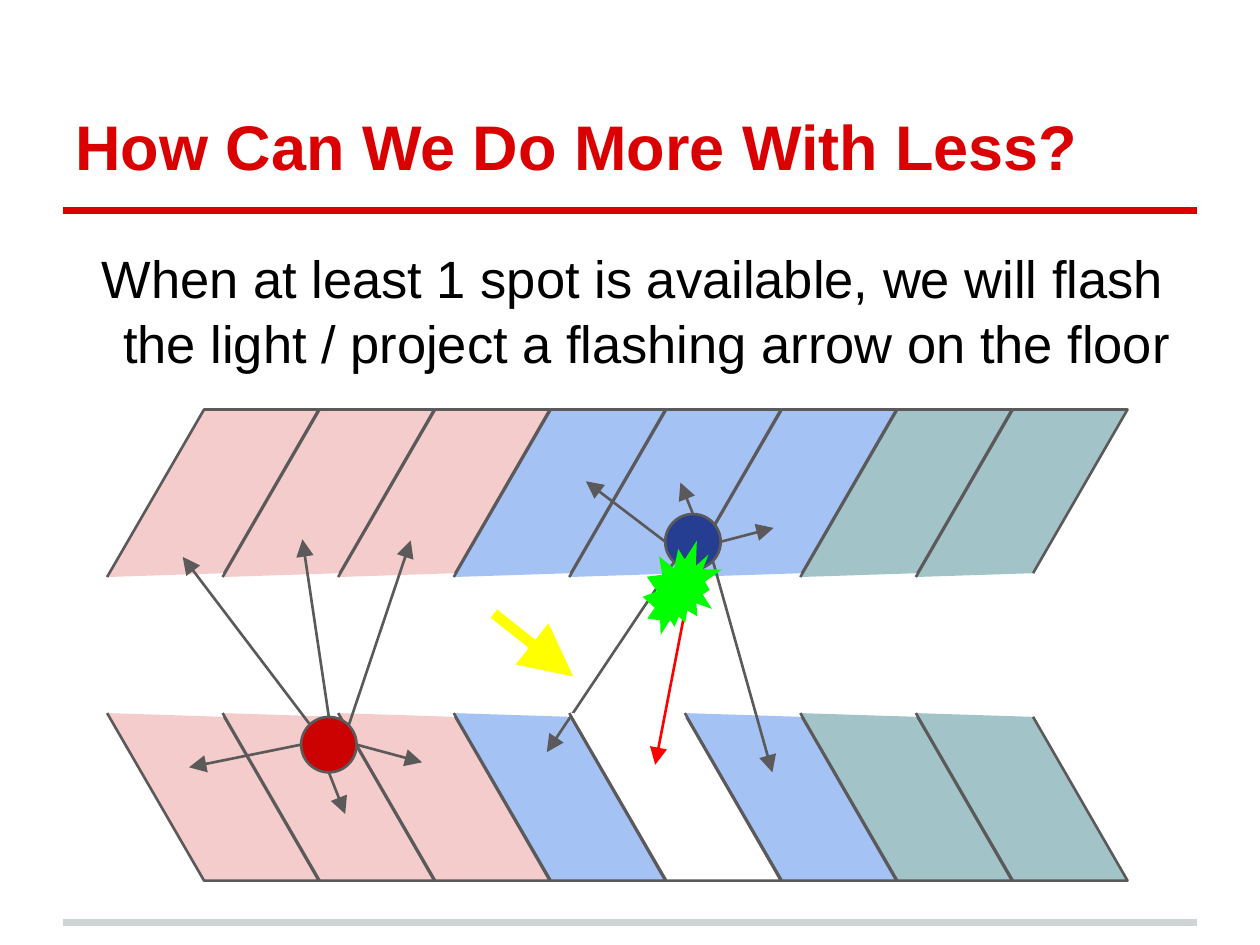
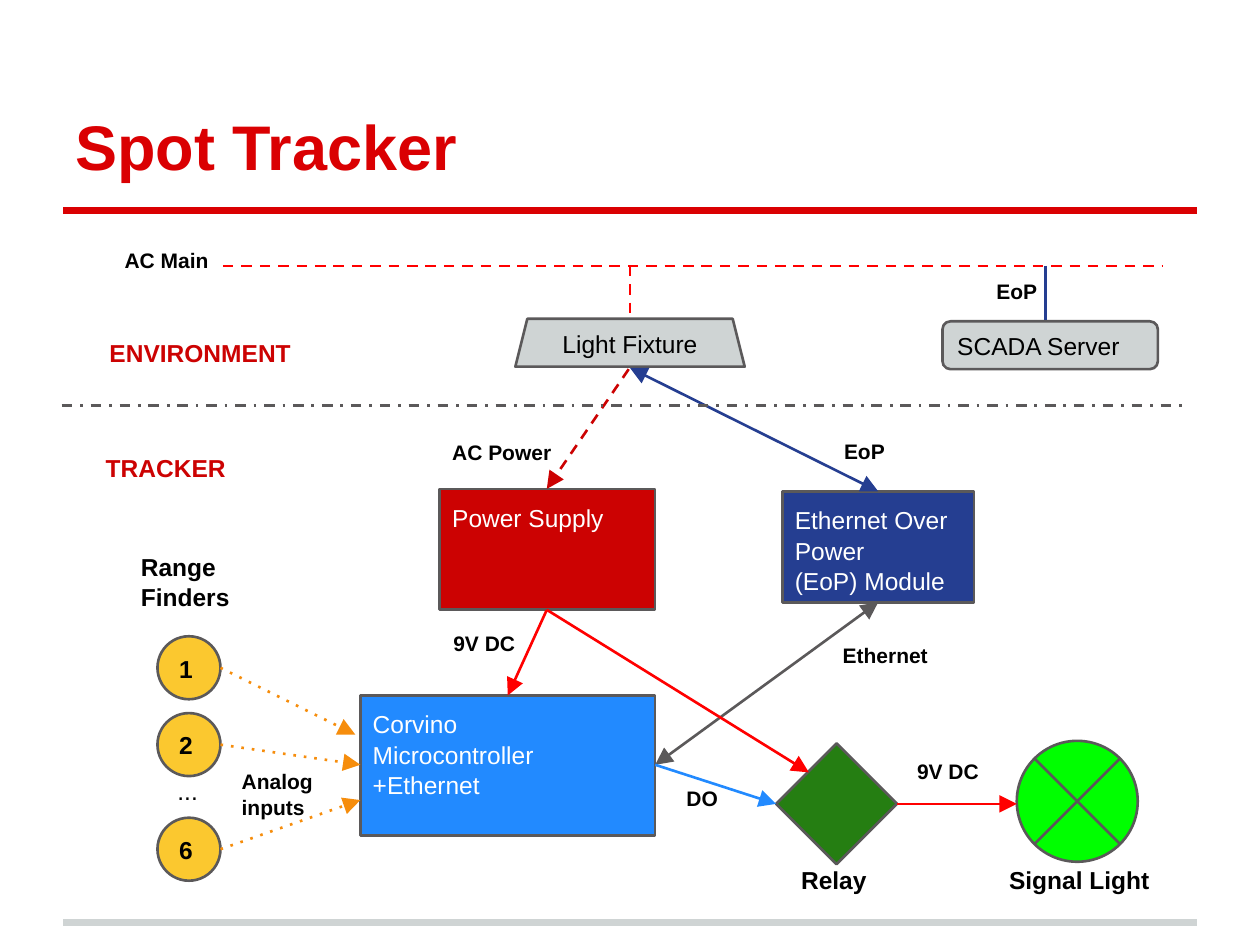
from lxml.etree import SubElement
from pptx import Presentation
from pptx.dml.color import RGBColor
from pptx.enum.shapes import MSO_CONNECTOR, MSO_SHAPE
from pptx.enum.text import MSO_ANCHOR, PP_ALIGN
from pptx.oxml.ns import qn
from pptx.util import Cm, Pt

# Shared look
FONT = "Arial"
BRAND_RED, RULE_GREY, OUTLINE = "DA0002", "CFD4D4", "5B595A"
BLACK, WHITE = "000000", "FFFFFF"
DARK_RED, RED, NAVY, SKY = "CC0202", "FF0000", "253E91", "228AFF"
LIME, GREEN, YELLOW, AMBER, ORANGE = "00FF00", "257E12", "FFFF00", "FBC82F", "F68D0C"
PINK_BAY, BLUE_BAY, TEAL_BAY = "F4CCCC", "A4C2F4", "A2C4C9"

# Parking bays
BAY_COLOURS = [PINK_BAY] * 3 + [BLUE_BAY] * 3 + [TEAL_BAY] * 2
BAY_OUTLINE = [(0, 0), (0.77, 1.33), (1.68, 1.33), (0.93, 0.03)]
BAY_LEFT, BAY_STEP = 0.85, 0.917
TOP_ROW, BOTTOM_ROW = 4.58, 5.66
FREE_BAY = 4


def length(inches):
    return Cm(inches * 2.54)


def colour(hex_code):
    return RGBColor.from_string(hex_code)


def paint(shape, fill, outline=OUTLINE):
    shape.shadow.inherit = False
    shape.fill.solid()
    shape.fill.fore_color.rgb = colour(fill)
    if outline:
        shape.line.color.rgb = colour(outline)
        shape.line.width = Pt(1.5)
    else:
        shape.line.fill.background()


def write(shape, text, size, text_colour, bold=False, anchor=MSO_ANCHOR.TOP,
          align=PP_ALIGN.LEFT):
    """Fill a shape with one paragraph; each line of the text is one run."""
    frame = shape.text_frame
    frame.word_wrap = True
    frame.vertical_anchor = anchor
    frame.margin_left = frame.margin_right = length(0.1)
    frame.margin_top = frame.margin_bottom = length(0.1)
    para = frame.paragraphs[0]
    para.alignment = align
    para.line_spacing = 1.04
    for number, line in enumerate(text.split("\n")):
        if number:
            para.add_line_break()
        span = para.add_run()
        span.text = line
        span.font.name = FONT
        span.font.size = Pt(size)
        span.font.bold = bold
        span.font.color.rgb = colour(text_colour)
    return para


def add_label(page, place, text, size=12, text_colour=BLACK, bold=True, **layout):
    box = page.shapes.add_textbox(*map(length, place))
    return write(box, text, size, text_colour, bold, **layout)


def add_block(page, kind, place, fill, outline=OUTLINE):
    block = page.shapes.add_shape(kind, *map(length, place))
    paint(block, fill, outline)
    return block


def add_line(page, start, end, line_colour=OUTLINE, width=1.5, dash=None, ends=()):
    line = page.shapes.add_connector(MSO_CONNECTOR.STRAIGHT,
                                     *map(length, start + end))
    line.line.color.rgb = colour(line_colour)
    line.line.width = Pt(width)
    properties = line._element.spPr
    stroke = properties.find(qn("a:ln"))
    if dash:
        SubElement(stroke, qn("a:prstDash"), val=dash)
    for name in ends:
        SubElement(stroke, qn(f"a:{name}"), type="triangle", w="lg", len="lg")
    SubElement(properties, qn("a:effectLst"))


def add_arrow(page, start, end, line_colour=OUTLINE, both=False, **style):
    ends = ("headEnd", "tailEnd") if both else ("tailEnd",)
    add_line(page, start, end, line_colour, ends=ends, **style)


def add_page(deck, title):
    page = deck.slides.add_slide(deck.slide_layouts[6])
    for height, rule_colour in ((7.32, RULE_GREY), (1.67, BRAND_RED)):
        add_line(page, (0.5, height), (9.5, height), rule_colour, 4)
    add_label(page, (0.5, 0.3, 9, 1.25), title, 36, BRAND_RED,
              anchor=MSO_ANCHOR.BOTTOM)
    return page


def add_bay(page, number, base, direction, fill):
    left = BAY_LEFT + number * BAY_STEP
    points = [(length(left + x), length(base + direction * y)) for x, y in BAY_OUTLINE]
    builder = page.shapes.build_freeform(*points[0])
    builder.add_line_segments(points[1:], close=False)
    paint(builder.convert_to_shape(), fill)


def add_sensor(page, left, top, fill, rays):
    add_block(page, MSO_SHAPE.OVAL, (left, top, 0.44, 0.44), fill)
    for start, end in rays:
        add_arrow(page, start, end)


def build_parking_page(deck):
    page = add_page(deck, "How Can We Do More With Less?")
    para = add_label(page, (0.5, 1.83, 9, 1.59),
                     "When at least 1 spot is available, we will flash the light"
                     " / project a flashing arrow on the floor", 30, bold=False)
    para.space_before = Pt(6)
    indents = para._p.get_or_add_pPr()
    indents.set("marL", str(length(0.38)))
    indents.set("indent", str(length(-0.17)))

    # Two rows of bays
    for number, fill in enumerate(BAY_COLOURS):
        if number != FREE_BAY:
            add_bay(page, number, BOTTOM_ROW, 1, fill)
    for number, fill in enumerate(BAY_COLOURS):
        add_bay(page, number, TOP_ROW, -1, fill)

    # Sensors and what they watch
    add_sensor(page, 2.39, 5.69, DARK_RED, [
        ((2.77, 5.75), (3.26, 4.29)),
        ((2.83, 5.91), (3.35, 6.05)),
        ((2.61, 6.13), (2.74, 6.46)),
        ((2.39, 5.91), (1.5, 6.09)),
        ((2.61, 5.69), (2.4, 4.28)),
        ((2.46, 5.75), (1.45, 4.42)),
    ])
    add_sensor(page, 5.28, 4.08, NAVY, [
        ((5.72, 4.3), (6.14, 4.19)),
        ((5.66, 4.46), (6.13, 6.13)),
        ((5.35, 4.46), (4.34, 5.97)),
        ((5.28, 4.3), (4.65, 3.82)),
        ((5.5, 4.08), (5.4, 3.83)),
    ])

    # Free bay, flash and floor arrow
    add_bay(page, FREE_BAY, BOTTOM_ROW, 1, WHITE)
    add_arrow(page, (5.5, 4.52), (5.2, 6.07), RED)
    add_block(page, MSO_SHAPE.EXPLOSION2, (5.1, 4.29, 0.63, 0.75), LIME, None)
    add_arrow(page, (3.92, 4.87), (4.55, 5.37), YELLOW, width=6)


def build_tracker_page(deck):
    page = add_page(deck, "Spot Tracker")

    # Modules
    for place, fill, text in (
        ((2.86, 5.52, 2.34, 1.11), SKY, "Corvino\nMicrocontroller\n+Ethernet"),
        ((3.49, 3.88, 1.71, 0.96), DARK_RED, "Power Supply"),
        ((6.21, 3.9, 1.52, 0.88), NAVY, "Ethernet Over\nPower\n(EoP) Module"),
    ):
        write(add_block(page, MSO_SHAPE.RECTANGLE, place, fill), text, 14, WHITE)
    add_block(page, MSO_SHAPE.FLOWCHART_SUMMING_JUNCTION, (8.07, 5.88, 0.96, 0.96), LIME)
    add_block(page, MSO_SHAPE.DIAMOND, (6.16, 5.9, 0.96, 0.96), GREEN)

    # Surroundings
    for kind, place, adjustment, text, align in (
        (MSO_SHAPE.TRAPEZOID, (4.09, 2.53, 1.82, 0.38), 0.25,
         "Light Fixture", PP_ALIGN.CENTER),
        (MSO_SHAPE.ROUNDED_RECTANGLE, (7.48, 2.55, 1.71, 0.38), 0.167,
         "SCADA Server", PP_ALIGN.LEFT),
    ):
        block = add_block(page, kind, place, RULE_GREY)
        block.adjustments[0] = adjustment
        write(block, text, 14, BLACK, anchor=MSO_ANCHOR.MIDDLE, align=align)

    # Range finders and their analog lines
    for name, top, target in (("1", 5.05, (2.82, 5.83)),
                              ("2", 5.66, (2.86, 6.07)),
                              ("6", 6.49, (2.86, 6.35))):
        finder = add_block(page, MSO_SHAPE.OVAL, (1.25, top, 0.5, 0.5), AMBER)
        write(finder, name, 14, BLACK, True, MSO_ANCHOR.MIDDLE)
        add_arrow(page, (1.75, top + 0.25), target, ORANGE, dash="dot")

    # Wiring between modules
    add_arrow(page, (4.99, 2.93), (4.34, 3.88), DARK_RED, dash="dash")
    add_arrow(page, (4.34, 4.84), (4.03, 5.52), RED)
    add_arrow(page, (5.2, 6.07), (6.97, 4.78), both=True)
    add_arrow(page, (5.2, 6.07), (6.16, 6.38), SKY)
    add_arrow(page, (4.34, 4.84), (6.42, 6.13), RED)
    add_arrow(page, (7.12, 6.38), (8.07, 6.38), RED)
    add_arrow(page, (5, 2.92), (6.97, 3.9), NAVY, both=True)

    # Mains and the border of the tracker
    add_line(page, (1.77, 2.11), (9.22, 2.11), RED, dash="dash")
    add_line(page, (5, 2.11), (5, 2.54), RED, dash="dash")
    add_line(page, (8.3, 2.11), (8.3, 2.54), NAVY)
    add_line(page, (0.49, 3.22), (9.42, 3.22), dash="dashDot")

    # Wire labels
    for place, text in (
        ((6.6, 3.37, 0.65, 0.38), "EoP"),
        ((7.81, 2.1, 0.65, 0.38), "EoP"),
        ((3.5, 4.9, 0.84, 0.38), "9V DC"),
        ((7.18, 5.91, 0.84, 0.38), "9V DC"),
        ((6.59, 4.99, 1.43, 0.31), "Ethernet"),
        ((5.35, 6.13, 0.84, 0.38), "DO"),
        ((1.82, 5.99, 0.84, 0.76), "Analog\ninputs"),
        ((0.89, 1.86, 1.52, 0.5), "AC Main"),
        ((3.49, 3.38, 1.52, 0.5), "AC Power"),
    ):
        add_label(page, place, text)

    # Part names and zones
    for place, text, text_colour in (
        ((7.91, 6.76, 1.71, 0.45), "Signal Light", BLACK),
        ((6.26, 6.76, 1.16, 0.4), "Relay", BLACK),
        ((1.02, 4.27, 1.16, 0.68), "Range\nFinders", BLACK),
        ((0.74, 3.49, 1.52, 0.5), "TRACKER", DARK_RED),
        ((0.77, 2.57, 1.98, 0.5), "ENVIRONMENT", DARK_RED),
    ):
        add_label(page, place, text, 14, text_colour)
    add_label(page, (1.31, 6.05, 0.59, 0.5), "...", 14, bold=False)


def main():
    deck = Presentation()
    deck.slide_width, deck.slide_height = length(10), length(7.5)
    build_parking_page(deck)
    build_tracker_page(deck)
    deck.save("out.pptx")


if __name__ == "__main__":
    main()
